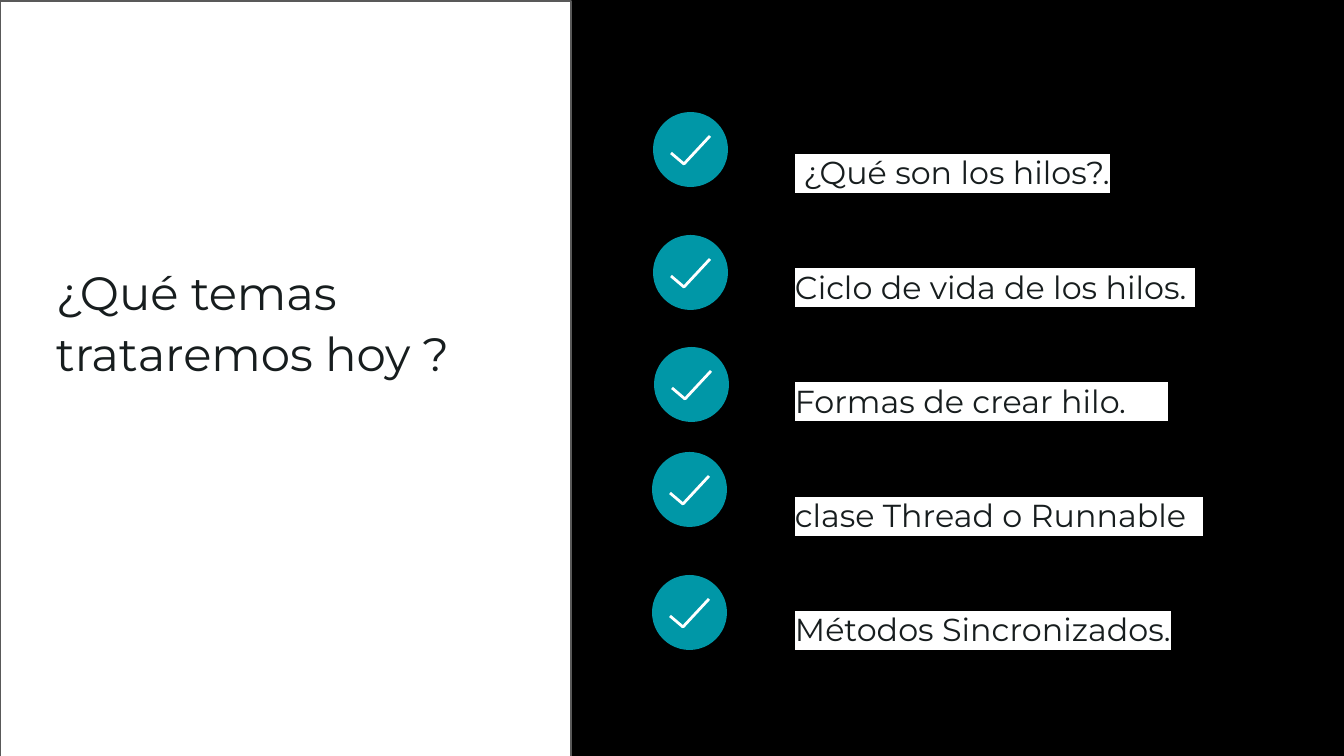
import pptx
import pptx.util
import pptx.dml.color
import pptx.enum.shapes
import lxml.etree

RGB = pptx.dml.color.RGBColor
BLACK = RGB(0x00, 0x00, 0x00)
WHITE = RGB(0xFF, 0xFF, 0xFF)
GRAY = RGB(0x59, 0x59, 0x59)
TEAL = RGB(0x00, 0x97, 0xA7)
INK = RGB(0x17, 0x1D, 0x1E)
FONT = "Montserrat"
SCALE = 914400 / 134.4
DISC = 75
TICK = [(18, 41), (31, 52), (57, 24)]
SPOTS = [(653, 112), (653, 235), (654, 347), (652, 452), (652, 575)]
TOPICS = [
    " ¿Qué son los hilos?.",
    "Ciclo de vida de los hilos. ",
    "Formas de crear hilo.     ",
    "clase Thread o Runnable  ",
    "Métodos Sincronizados.",
]


def px(count):
    return pptx.util.Emu(round(count * SCALE))


def add_shape(shapes, kind, left, top, width, height, fill):
    shape = shapes.add_shape(kind, px(left), px(top), px(width), px(height))
    shape.shadow.inherit = False
    shape.fill.solid()
    shape.fill.fore_color.rgb = fill
    return shape


def add_panel(slide):
    kind = pptx.enum.shapes.MSO_SHAPE.RECTANGLE
    panel = add_shape(slide.shapes, kind, 0, 1, 571, 760, WHITE)
    panel.line.color.rgb = GRAY
    panel.line.width = pptx.util.Pt(0.75)


def add_badge(slide, left, top):
    group = slide.shapes.add_group_shape()
    kind = pptx.enum.shapes.MSO_SHAPE.OVAL
    disc = add_shape(group.shapes, kind, left, top, DISC, DISC, TEAL)
    disc.line.fill.background()
    points = [(left + x, top + y) for x, y in TICK]
    path = group.shapes.build_freeform(*points[0], scale=SCALE)
    path.add_line_segments(points[1:], close=False)
    tick = path.convert_to_shape()
    tick.shadow.inherit = False
    tick.fill.background()
    tick.line.color.rgb = WHITE
    tick.line.width = pptx.util.Pt(1.5)


def mark(run):
    props = run._r.get_or_add_rPr()
    light = lxml.etree.SubElement(props, pptx.oxml.ns.qn("a:highlight"))
    color = lxml.etree.SubElement(light, pptx.oxml.ns.qn("a:srgbClr"))
    color.set("val", str(WHITE))


def add_text(slide, left, top, width, height, lines, size, pitch, gap=0):
    box = slide.shapes.add_textbox(px(left), px(top), px(width), px(height))
    frame = box.text_frame
    frame.word_wrap = True
    frame.margin_left = frame.margin_right = 0
    frame.margin_top = frame.margin_bottom = 0
    for index, line in enumerate(lines):
        para = frame.add_paragraph() if index else frame.paragraphs[0]
        para.line_spacing = pitch
        if index:
            para.space_before = pptx.util.Pt(gap)
        run = para.add_run()
        run.text = line
        mark(run)
        para.font.name = FONT
        para.font.size = pptx.util.Pt(size)
        para.font.color.rgb = INK


def main():
    deck = pptx.Presentation()
    deck.slide_width = px(1344)
    deck.slide_height = px(756)
    slide = deck.slides.add_slide(deck.slide_layouts[6])
    slide.background.fill.solid()
    slide.background.fill.fore_color.rgb = BLACK
    add_panel(slide)
    add_text(slide, 56, 258, 468, 118, ["¿Qué temas trataremos hoy ?"], 25, 1.1)
    add_text(slide, 795, 134, 481, 539, TOPICS, 17, 1.5, gap=30.6)
    for left, top in SPOTS:
        add_badge(slide, left, top)
    deck.save("out.pptx")


if __name__ == "__main__":
    main()
